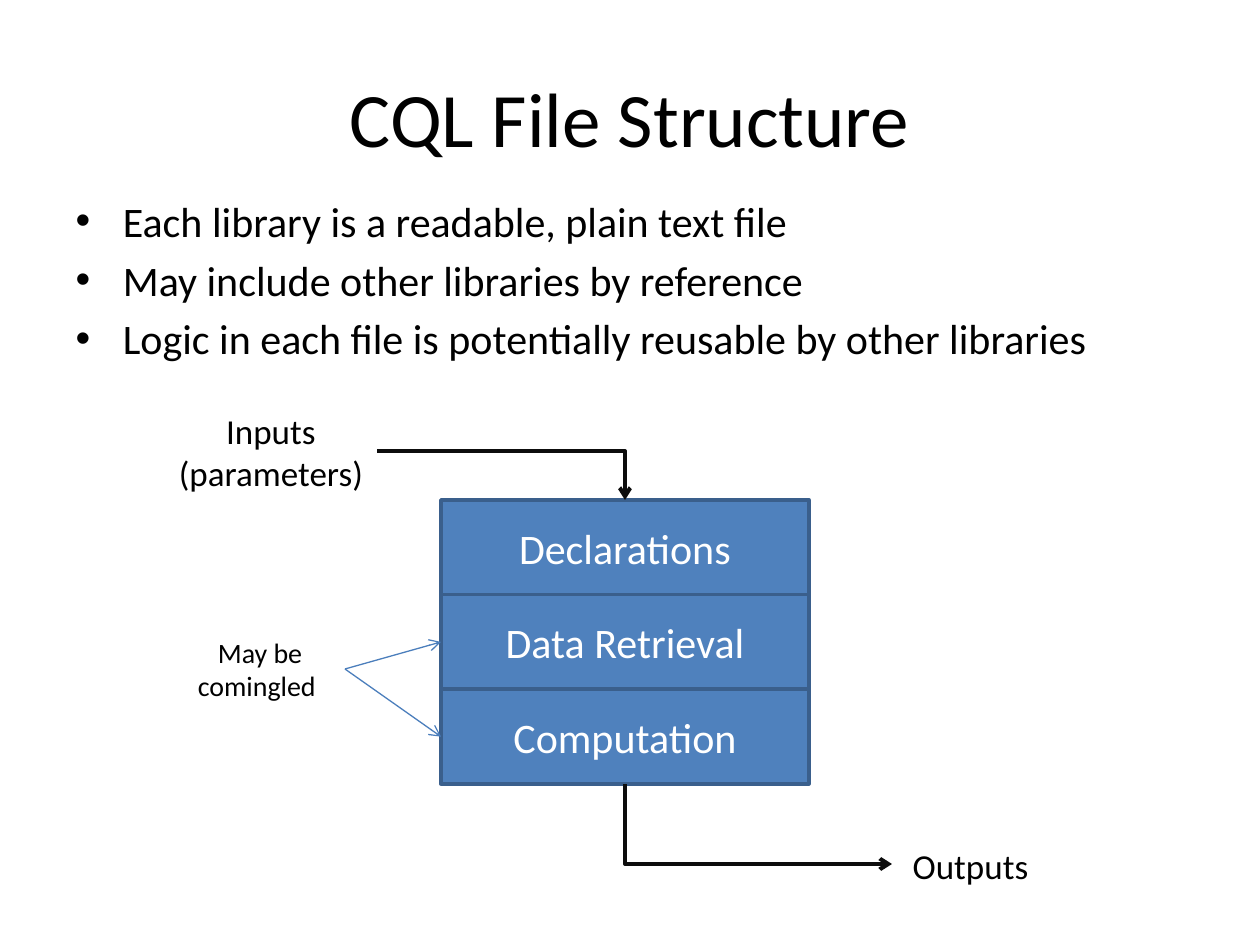
from lxml import etree
from pptx import Presentation
from pptx.dml.color import RGBColor
from pptx.enum.shapes import MSO_CONNECTOR, MSO_SHAPE
from pptx.enum.text import MSO_ANCHOR, MSO_AUTO_SIZE, PP_ALIGN
from pptx.oxml.ns import qn
from pptx.util import Emu, Pt

RECT = MSO_SHAPE.RECTANGLE
LINE = MSO_CONNECTOR.STRAIGHT
ELBOW = MSO_CONNECTOR.ELBOW
MIDDLE = MSO_ANCHOR.MIDDLE
CENTER = PP_ALIGN.CENTER
GROW = MSO_AUTO_SIZE.SHAPE_TO_FIT_TEXT
SCALE = 914400 / 126
FONT = "Calibri"
BLACK, WHITE = "000000", "FFFFFF"
BLUE, EDGE = "4F81BD", "3A5F8C"
FLOW, HINT = "0D0D0D", "4B7EBC"


def px(n):
    return Emu(round(n * SCALE))


def color(code):
    return RGBColor.from_string(code)


def place(shape, box):
    shape.left, shape.top, shape.width, shape.height = map(px, box)


def write(shape, text, size, code=BLACK, align=None):
    frame = shape.text_frame
    frame.text = text
    for para in frame.paragraphs:
        if align is not None:
            para.alignment = align
        for run in para.runs:
            run.font.size = Pt(size)
            run.font.name = FONT
            run.font.color.rgb = color(code)


def label(slide, box, text, size, wrap=True):
    shape = slide.shapes.add_textbox(*map(px, box))
    write(shape, text, size, align=CENTER)
    shape.text_frame.word_wrap = wrap
    shape.text_frame.auto_size = GROW


def arrow(slide, kind, start, end, code, width):
    link = slide.shapes.add_connector(kind, *map(px, start + end))
    link.line.color.rgb = color(code)
    link.line.width = Pt(width)
    props = link._element.spPr
    etree.SubElement(props.find(qn("a:ln")), qn("a:tailEnd"), type="arrow")
    etree.SubElement(props, qn("a:effectLst"))
    return link


def bend(slide, start, end, down=False):
    link = arrow(slide, ELBOW, start, end, FLOW, 2.25)
    props = link._element.spPr
    props.find(qn("a:prstGeom")).set("prst", "bentConnector2")
    if down:
        wide, high = end[0] - start[0], end[1] - start[1]
        mid_x, mid_y = start[0] + wide / 2, start[1] + high / 2
        place(link, (mid_x - high / 2, mid_y - wide / 2, high, wide))
        frame = props.find(qn("a:xfrm"))
        frame.set("rot", "16200000")
        frame.set("flipH", "1")


def heading(slide, box, title, points):
    x, y, w, h = box
    head, body = slide.placeholders
    place(head, (x, y, w, 158))
    write(head, title, 44, align=CENTER)
    head.text_frame.vertical_anchor = MIDDLE
    place(body, (x, y + 151, w, h - 151))
    write(body, "\n".join(points), 24)


def stack(slide, box, names):
    x, y, w, h = box
    step = h / len(names)
    group = slide.shapes.add_group_shape()
    for i, name in enumerate(names):
        part = group.shapes.add_shape(RECT, *map(px, (x, y + i * step, w, step)))
        part.shadow.inherit = False
        part.fill.solid()
        part.fill.fore_color.rgb = color(BLUE)
        part.line.color.rgb = color(EDGE)
        part.line.width = Pt(2)
        write(part, name, 24, WHITE, CENTER)
        part.text_frame.vertical_anchor = MIDDLE


def diagram(slide, box):
    x, y, w, h = box
    left, top, wide, high = x + 276, y + 97, 368, 284
    mid, base = left + wide // 2, top + high
    stack(slide, (left, top, wide, high),
          ("Declarations", "Data Retrieval", "Computation"))
    bend(slide, (x + 212, y + 48), (mid, top))
    bend(slide, (mid, base), (x + 727, y + 461), down=True)
    label(slide, (x, y, 212, 97), "Inputs\n(parameters)", 20, wrap=False)
    label(slide, (x + w - 157, y + h - 55, 157, 55), "Outputs", 20)
    label(slide, (x + 10, y + 226, 170, 80), "May be comingled ", 16)
    for row in (1, 2):
        end = (left, top + high * (2 * row + 1) / 6)
        arrow(slide, LINE, (x + 180, y + 266), end, HINT, 0.75)


deck = Presentation()
deck.slide_width, deck.slide_height = px(1260), px(945)
page = deck.slides.add_slide(deck.slide_layouts[1])
heading(page, (63, 38, 1134, 775), "CQL File Structure", (
    "Each library is a readable, plain text file",
    "May include other libraries by reference",
    "Logic in each file is potentially reusable by other libraries",
))
diagram(page, (165, 403, 884, 490))
deck.save("out.pptx")
